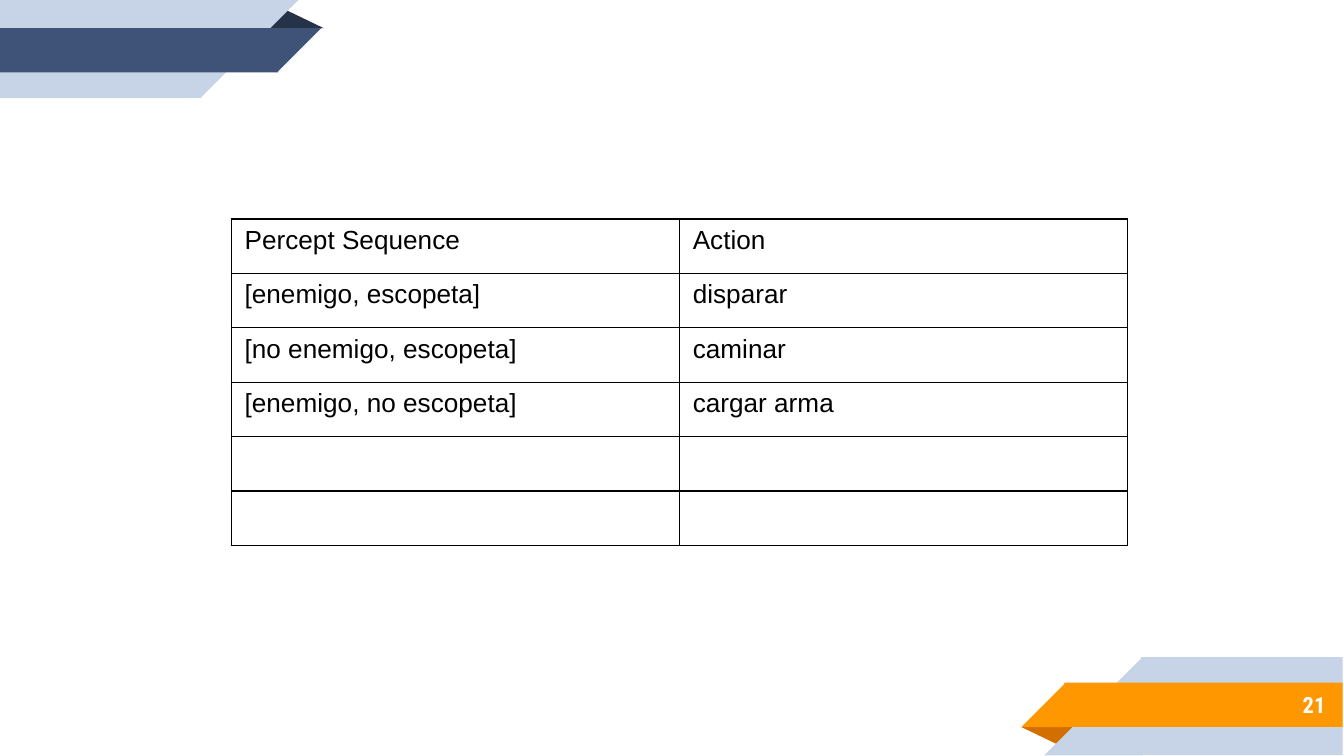
from lxml.etree import SubElement
from pptx import Presentation
from pptx.dml.color import RGBColor
from pptx.enum.shapes import MSO_SHAPE as Shape
from pptx.enum.text import MSO_ANCHOR as Anchor, PP_ALIGN as Align
from pptx.oxml.ns import qn
from pptx.util import Inches, Pt

BLACK = RGBColor(0x00, 0x00, 0x00)
WHITE = RGBColor(0xFF, 0xFF, 0xFF)
PALE = RGBColor(0xC7, 0xD3, 0xE6)
NAVY = RGBColor(0x3F, 0x53, 0x78)
DARK_NAVY = RGBColor(0x26, 0x32, 0x48)
ORANGE = RGBColor(0xFF, 0x98, 0x00)
DARK_ORANGE = RGBColor(0xD2, 0x6F, 0x00)

# Content
PAGE_NUMBER = "21"
ROWS = [
    ("Percept Sequence", "Action"),
    ("[enemigo, escopeta]", "disparar"),
    ("[no enemigo, escopeta]", "caminar"),
    ("[enemigo, no escopeta]", "cargar arma"),
    ("", ""),
    ("", ""),
]
TABLE_BOX = (1.72, 1.63, 6.67, 2.43)

# Ribbon bands: top, width of the straight part, height, colour
LEFT_BANDS = [(0, 1.5, 0.73, PALE), (0.21, 2.07, 0.33, NAVY)]
RIGHT_BANDS = [(4.89, 1.5, 0.73, PALE), (5.08, 2.07, 0.33, ORANGE)]
PAGE_WIDTH = 10
OVERLAP = 0.01  # hides the seam between a band and its tip


def add_shape(page, kind, box, color, rotation=0):
    shape = page.shapes.add_shape(kind, *map(Inches, box))
    shape.shadow.inherit = False
    shape.fill.solid()
    shape.fill.fore_color.rgb = color
    shape.line.fill.background()
    shape.rotation = rotation
    return shape


def add_fold(page, left, top, color, rotation=0):
    fold = add_shape(page, Shape.ISOSCELES_TRIANGLE, (left, top, 0.43, 0.14), color, rotation)
    fold.adjustments[0] = 0.324


def add_band(page, top, width, height, color, on_right):
    """A straight part from the page edge, ended by a slanted tip."""
    left = PAGE_WIDTH - width if on_right else 0
    tip_left = left - height if on_right else width - OVERLAP
    add_shape(page, Shape.RECTANGLE, (left - OVERLAP * on_right, top, width, height), color)
    add_shape(page, Shape.RIGHT_TRIANGLE, (tip_left, top, height, height), color,
              rotation=270 if on_right else 90)


def write(frame, text, size, font, color, bold=False, align=Align.LEFT):
    para = frame.paragraphs[0]
    para.alignment = align
    span = para.add_run()
    span.text = text
    span.font.size = Pt(size)
    span.font.name = font
    span.font.bold = bold
    span.font.color.rgb = color


def add_borders(cell, color, width):
    properties = cell._tc.get_or_add_tcPr()
    for index, side in enumerate(("a:lnL", "a:lnR", "a:lnT", "a:lnB")):
        line = SubElement(properties, qn(side), w=str(Pt(width)))
        fill = SubElement(line, qn("a:solidFill"))
        SubElement(fill, qn("a:srgbClr"), val=str(color))
        properties.insert(index, line)  # borders come before the fill


def add_table(page):
    left, top, width, height = map(Inches, TABLE_BOX)
    table = page.shapes.add_table(len(ROWS), len(ROWS[0]), left, top, width, height).table
    table.first_row = table.horz_banding = False
    for row_index, row in enumerate(ROWS):
        for column_index, text in enumerate(row):
            cell = table.cell(row_index, column_index)
            cell.fill.background()
            add_borders(cell, BLACK, 0.75)
            if text:
                write(cell.text_frame, text, size=14, font="Arial", color=BLACK)


def add_page_number(page):
    box = page.shapes.add_textbox(*map(Inches, (8.33, 5.07, 1.63, 0.35)))
    frame = box.text_frame
    frame.word_wrap = True
    frame.vertical_anchor = Anchor.MIDDLE
    frame.margin_left = frame.margin_right = Inches(0.1)
    frame.margin_top = frame.margin_bottom = Inches(0.1)
    write(frame, PAGE_NUMBER, size=12, font="Roboto Condensed", color=WHITE,
          bold=True, align=Align.RIGHT)


def main():
    deck = Presentation()
    deck.slide_width = Inches(PAGE_WIDTH)
    deck.slide_height = deck.slide_width * 9 // 16
    page = deck.slides.add_slide(deck.slide_layouts[6])

    # Corner ribbons, each with its fold between the two bands
    for bands, on_right, fold in (
        (RIGHT_BANDS, True, (7.6, 5.41, DARK_ORANGE, 180)),
        (LEFT_BANDS, False, (1.98, 0.07, DARK_NAVY)),
    ):
        add_fold(page, *fold)
        for band in bands:
            add_band(page, *band, on_right=on_right)

    add_page_number(page)
    add_table(page)
    deck.save("out.pptx")


if __name__ == "__main__":
    main()
